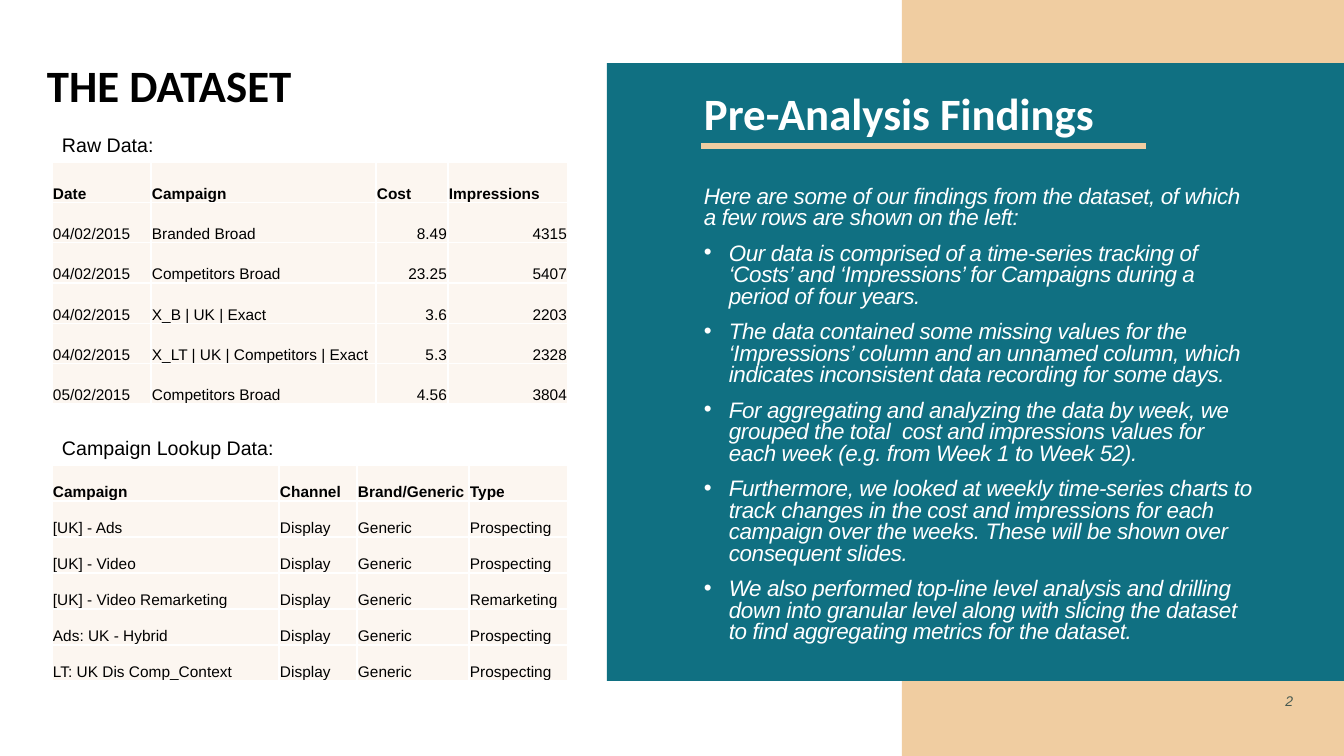
"""Build the dataset slide: two sample tables beside the pre-analysis findings."""
from lxml.etree import SubElement
from pptx import Presentation
from pptx.dml.color import RGBColor
from pptx.enum.shapes import MSO_CONNECTOR as Connector, MSO_SHAPE as Shape
from pptx.enum.text import MSO_ANCHOR as Anchor, PP_ALIGN as Align
from pptx.oxml.ns import qn
from pptx.util import Pt

WHITE = RGBColor(0xFF, 0xFF, 0xFF)
BLACK = RGBColor(0, 0, 0)
SAND = RGBColor(0xF0, 0xCD, 0xA1)
TEAL = RGBColor(0x10, 0x70, 0x82)
CREAM = RGBColor(0xFC, 0xF6, 0xF0)
INK = RGBColor(0x00, 0x29, 0x2E)

BLOCKS = [
    ((902, 0, 442, 756), SAND),
    ((607, 63, 737, 618), TEAL),
]
HEADINGS = [
    ("Pre-Analysis Findings", (694, 70, 570, 92), WHITE),
    ("THE DATASET", (37, 42, 570, 92), BLACK),
]
INTRO = "Here are some of our findings from the dataset, of which a few rows are shown on the left:"
FINDINGS = [
    "Our data is comprised of a time-series tracking of ‘Costs’ and ‘Impressions’ for Campaigns "
    "during a period of four years.",
    "The data contained some missing values for the ‘Impressions’ column and an unnamed column, "
    "which indicates inconsistent data recording for some days.",
    "For aggregating and analyzing the data by week, we grouped the total  cost and impressions "
    "values for each week (e.g. from Week 1 to Week 52).",
    "Furthermore, we looked at weekly time-series charts to track changes in the cost and "
    "impressions for each campaign over the weeks. These will be shown over consequent slides.",
    "We also performed top-line level analysis and drilling down into granular level along with "
    "slicing the dataset to find aggregating metrics for the dataset.",
]
RAW_DATA = [
    ("Date", "Campaign", "Cost", "Impressions"),
    ("04/02/2015", "Branded Broad", 8.49, 4315),
    ("04/02/2015", "Competitors Broad", 23.25, 5407),
    ("04/02/2015", "X_B | UK | Exact", 3.6, 2203),
    ("04/02/2015", "X_LT | UK | Competitors | Exact", 5.3, 2328),
    ("05/02/2015", "Competitors Broad", 4.56, 3804),
]
LOOKUP_DATA = [
    ("Campaign", "Channel", "Brand/Generic", "Type"),
    ("[UK] - Ads", "Display", "Generic", "Prospecting"),
    ("[UK] - Video", "Display", "Generic", "Prospecting"),
    ("[UK] - Video Remarketing", "Display", "Generic", "Remarketing"),
    ("Ads: UK - Hybrid", "Display", "Generic", "Prospecting"),
    ("LT: UK Dis Comp_Context", "Display", "Generic", "Prospecting"),
]
TABLE_LEFT = 52
LABEL_HEIGHT = 34
TABLES = [
    ("Raw Data:", 113, RAW_DATA, 162, 242, (99, 225, 72, 120)),
    ("Campaign Lookup Data:", 233, LOOKUP_DATA, 465, 216, (227, 78, 112, 99)),
]
UNDERLINE = (701, 146, 1146, 146)


def px(length):
    return round(length * 9144000 / 1008)


def style(para, size, color, name="Arial", bold=False, italic=False):
    font = para.font
    font.size, font.name, font.bold, font.italic = Pt(size), name, bold, italic
    font.color.rgb = color


def add_text(slide, place, lines, anchor=Anchor.TOP, wrap=True):
    frame = slide.shapes.add_textbox(*map(px, place)).text_frame
    frame.word_wrap = wrap
    frame.vertical_anchor = anchor
    frame.text = "\n".join(lines)
    return frame.paragraphs


def add_bullet(para):
    properties = para._p.get_or_add_pPr()
    properties.set("marL", str(px(25)))
    properties.set("indent", str(-px(25)))
    SubElement(properties, qn("a:buFont"), typeface="Arial")
    SubElement(properties, qn("a:buChar"), char="•")


def add_borders(cell):
    properties = cell._tc.get_or_add_tcPr()
    for position, side in enumerate(("lnL", "lnR", "lnT", "lnB")):
        line = properties.makeelement(qn(f"a:{side}"), {"w": str(Pt(1))})
        fill = SubElement(line, qn("a:solidFill"))
        SubElement(fill, qn("a:srgbClr"), val=str(WHITE))
        properties.insert(position, line)


def fill_cell(cell, value, header):
    cell.margin_left = cell.margin_right = cell.margin_top = px(1)
    cell.margin_bottom = 0
    cell.vertical_anchor = Anchor.BOTTOM
    cell.fill.solid()
    cell.fill.fore_color.rgb = CREAM
    add_borders(cell)
    cell.text = str(value)
    para = cell.text_frame.paragraphs[0]
    para.alignment = Align.LEFT if isinstance(value, str) else Align.RIGHT
    style(para, 11, BLACK, bold=header)


def add_data_table(slide, rows, top, height, widths):
    place = (TABLE_LEFT, top, sum(widths), height)
    table = slide.shapes.add_table(len(rows), len(widths), *map(px, place)).table
    table.horz_banding = False
    for column, width in zip(table.columns, widths):
        column.width = px(width)
    for row_index, values in enumerate(rows):
        table.rows[row_index].height = px(height / len(rows))
        for column_index, value in enumerate(values):
            fill_cell(table.cell(row_index, column_index), value, row_index == 0)


def add_findings(slide):
    paras = add_text(slide, (694, 182, 571, 499), [INTRO, *FINDINGS])
    for para in paras:
        style(para, 16, WHITE, italic=True)
        para.line_spacing = 0.8
        para.space_before = Pt(10)
        for span in para.runs:
            span.font._element.set("spc", "-26")
    for para in paras[1:]:
        add_bullet(para)


def add_page_number(slide):
    para = add_text(slide, (1264, 681, 39, 40), ["2"], Anchor.MIDDLE)[0]
    para.alignment = Align.RIGHT
    style(para, 10, INK, italic=True)
    span_font = para.runs[0].font
    span_font.color.rgb = INK
    color = span_font._element.find(f".//{qn('a:srgbClr')}")
    SubElement(color, qn("a:alpha"), val="70000")


def main():
    deck = Presentation()
    deck.slide_width, deck.slide_height = px(1344), px(756)
    slide = deck.slides.add_slide(deck.slide_layouts[6])

    for place, color in BLOCKS:
        block = slide.shapes.add_shape(Shape.RECTANGLE, *map(px, place))
        block.shadow.inherit = False
        block.fill.solid()
        block.fill.fore_color.rgb = color
        block.line.fill.background()

    for heading, place, color in HEADINGS:
        para = add_text(slide, place, [heading], Anchor.MIDDLE)[0]
        para.line_spacing = 0.9
        style(para, 32, color, "Calibri", bold=True)

    underline = slide.shapes.add_connector(Connector.STRAIGHT, *map(px, UNDERLINE))
    underline.line.color.rgb = SAND
    underline.line.width = Pt(4.32)
    SubElement(underline._element.spPr, qn("a:effectLst"))

    add_findings(slide)
    add_page_number(slide)

    for label, label_width, rows, top, height, widths in TABLES:
        place = (TABLE_LEFT, top - LABEL_HEIGHT, label_width, LABEL_HEIGHT)
        style(add_text(slide, place, [label], wrap=False)[0], 14, BLACK)
        add_data_table(slide, rows, top, height, widths)

    deck.save("out.pptx")


if __name__ == "__main__":
    main()
